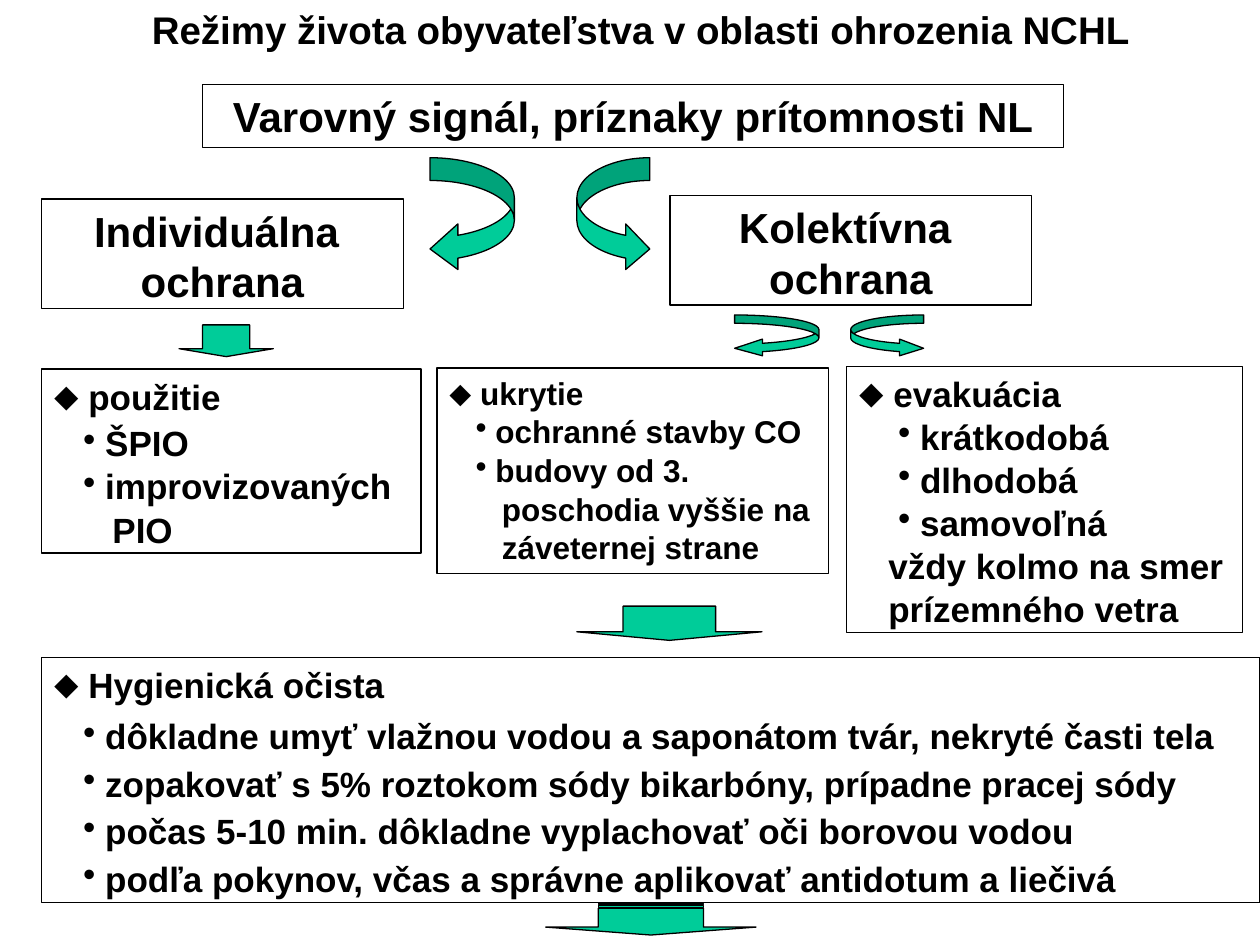
from lxml.etree import SubElement
from pptx import Presentation
from pptx.dml.color import RGBColor
from pptx.enum.shapes import MSO_SHAPE
from pptx.enum.text import MSO_ANCHOR, PP_ALIGN
from pptx.oxml.ns import qn
from pptx.util import Cm, Pt

COLORS = {"ink": "000000", "arrow": "00CC99"}
FONT = "Arial"
TIGHT = 0.4     # line spacing of every paragraph after the first
SPACE = 0.278   # width of one indent step, in ems
HANG = {"⬥": 0.98, "•": 0.628}  # bullet to text, in ems


def color(name):
    return RGBColor.from_string(COLORS[name])


def apply_format(target, values):
    for name, value in values.items():
        setattr(target, name, value)


def add_shape(slide, kind, box, fill=None, outlined=True):
    shape = slide.shapes.add_shape(kind, *[Cm(length) for length in box])
    shape.shadow.inherit = False
    if fill:
        shape.fill.solid()
        shape.fill.fore_color.rgb = color(fill)
    else:
        shape.fill.background()
    if outlined:
        shape.line.color.rgb = color("ink")
        shape.line.width = Pt(0.75)
    else:
        shape.line.fill.background()
    return shape


def add_text_frame(slide, box, outlined=True):
    frame = add_shape(slide, MSO_SHAPE.RECTANGLE, box, outlined=outlined).text_frame
    apply_format(frame, {"word_wrap": True, "vertical_anchor": MSO_ANCHOR.TOP})
    return frame


def next_paragraph(frame, index):
    return frame.add_paragraph() if index else frame.paragraphs[0]


def add_bold_run(paragraph, text, size):
    run = paragraph.add_run()
    run.text = text
    apply_format(run.font, {"name": FONT, "size": Pt(size), "bold": True})
    run.font.color.rgb = color("ink")


def set_bullet(paragraph, bullet, steps, size):
    """Indent by steps; a bullet hangs to the left of its text."""
    properties = paragraph._p.get_or_add_pPr()
    hang = HANG.get(bullet, 0)
    properties.set("marL", str(Pt(size * (steps * SPACE + hang))))
    properties.set("indent", str(-Pt(size * hang)))
    if bullet:
        SubElement(properties, qn("a:buFont"), typeface=FONT)
        SubElement(properties, qn("a:buChar"), char=bullet)
    else:
        SubElement(properties, qn("a:buNone"))


def add_heading(slide, box, lines, size=24, outlined=True):
    frame = add_text_frame(slide, box, outlined)
    for index, text in enumerate(lines):
        paragraph = next_paragraph(frame, index)
        paragraph.alignment = PP_ALIGN.CENTER
        if index:
            apply_format(paragraph, {"line_spacing": TIGHT, "space_before": Pt(15),
                                     "space_after": Pt(3)})
        add_bold_run(paragraph, text, size)


def add_list(slide, box, title, items, size=20, title_after=0.0, after=2.5):
    """Diamond title followed by (steps, bullet, text) items."""
    frame = add_text_frame(slide, box)
    for index, (steps, bullet, text) in enumerate([(0, "⬥", title), *items]):
        paragraph = next_paragraph(frame, index)
        values = {"alignment": PP_ALIGN.LEFT,
                  "space_after": Pt(after if index else title_after)}
        if index:
            values.update(line_spacing=TIGHT, space_before=Pt(size * 0.625))
        apply_format(paragraph, values)
        set_bullet(paragraph, bullet, steps, size)
        add_bold_run(paragraph, text, size)


def add_curved_pair(slide, left, top, gap, height):
    """Two arrows curling outwards, the right one slightly narrower."""
    left_width, right_width = 1.7, 1.47
    for kind, x, width in (
        (MSO_SHAPE.CURVED_LEFT_ARROW, left, left_width),
        (MSO_SHAPE.CURVED_RIGHT_ARROW, left + left_width + gap, right_width),
    ):
        arrow = add_shape(slide, kind, (x, top, width, height), "arrow")
        short = min(width, height)
        parts = (0.2 * height, 0.4 * height, 0.33 * width)
        for index, length in enumerate(parts):
            arrow.adjustments[index] = length / short


def add_down_arrow(slide, box):
    arrow = add_shape(slide, MSO_SHAPE.DOWN_ARROW, box, "arrow")
    arrow.adjustments[0], arrow.adjustments[1] = 0.5, 0.25


def add_striped_down_arrow(slide, box):
    left, top, width, height = box
    shift = (width - height) / 2
    arrow = add_shape(slide, MSO_SHAPE.STRIPED_RIGHT_ARROW,
                      (left + shift, top - shift, height, width), "arrow")
    arrow.rotation = 90
    arrow.adjustments[0], arrow.adjustments[1] = 0.5, 0.25


def build_slide(slide):
    # Title and warning signal
    add_heading(slide, (2.77, 0, 20.3, 1.19),
                ["Režimy života obyvateľstva v oblasti ohrozenia NCHL"], 22, False)
    add_heading(slide, (4.09, 1.7, 17.35, 1.27),
                ["Varovný signál, príznaky prítomnosti NL"])

    # Kinds of protection
    add_heading(slide, (0.84, 4.01, 7.29, 2.21), ["Individuálna ", "ochrana"])
    add_heading(slide, (13.51, 3.94, 7.29, 2.21), ["Kolektívna ", "ochrana"])

    # Measures
    add_list(slide, (0.84, 7.44, 7.65, 3.71), "použitie", [
        (3, "•", "ŠPIO"),
        (3, "•", "improvizovaných"),
        (6, "", "PIO"),
    ], title_after=2.5)
    add_list(slide, (8.81, 7.42, 7.9, 4.14), "ukrytie", [
        (3, "•", "ochranné stavby CO"),
        (3, "•", "budovy od 3."),
        (6, "", "poschodia vyššie na"),
        (6, "", "záveternej strane"),
    ], size=18, after=2.2)
    add_list(slide, (17.07, 7.39, 7.98, 5.36), "evakuácia", [
        (4, "•", "krátkodobá"),
        (4, "•", "dlhodobá"),
        (4, "•", "samovoľná"),
        (3, "", "vždy kolmo na smer"),
        (3, "", "prízemného vetra"),
    ])

    # Arrows between the levels
    add_down_arrow(slide, (11.63, 12.22, 3.73, 0.69))
    add_curved_pair(slide, left=8.67, top=3.18, gap=1.26, height=2.3)
    add_curved_pair(slide, left=14.81, top=6.35, gap=0.64, height=0.84)
    add_down_arrow(slide, (3.61, 6.55, 1.9, 0.64))
    add_striped_down_arrow(slide, (11, 18.21, 4.24, 0.64))

    # Decontamination
    add_list(slide, (0.84, 13.26, 24.56, 4.93), "Hygienická očista", [
        (3, "•", "dôkladne umyť vlažnou vodou a saponátom tvár, nekryté časti tela"),
        (3, "•", "zopakovať s 5% roztokom sódy bikarbóny, prípadne pracej sódy"),
        (3, "•", "počas 5-10 min. dôkladne vyplachovať oči borovou vodou"),
        (3, "•", "podľa pokynov, včas a správne aplikovať antidotum a liečivá"),
    ], title_after=5, after=5)


def main():
    presentation = Presentation()
    presentation.slide_width, presentation.slide_height = Cm(25.4), Cm(19.05)
    build_slide(presentation.slides.add_slide(presentation.slide_layouts[6]))
    presentation.save("out.pptx")


if __name__ == "__main__":
    main()
